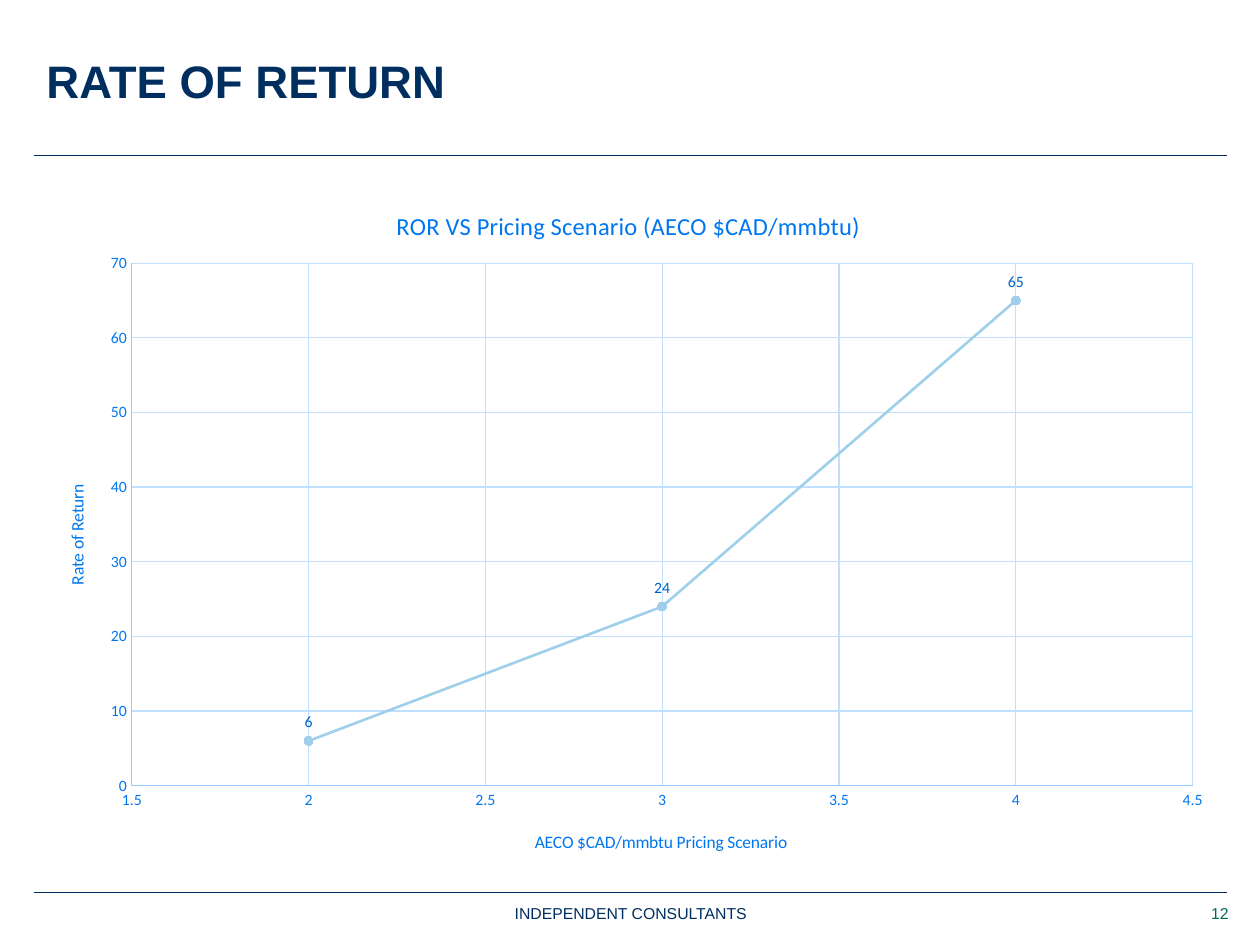
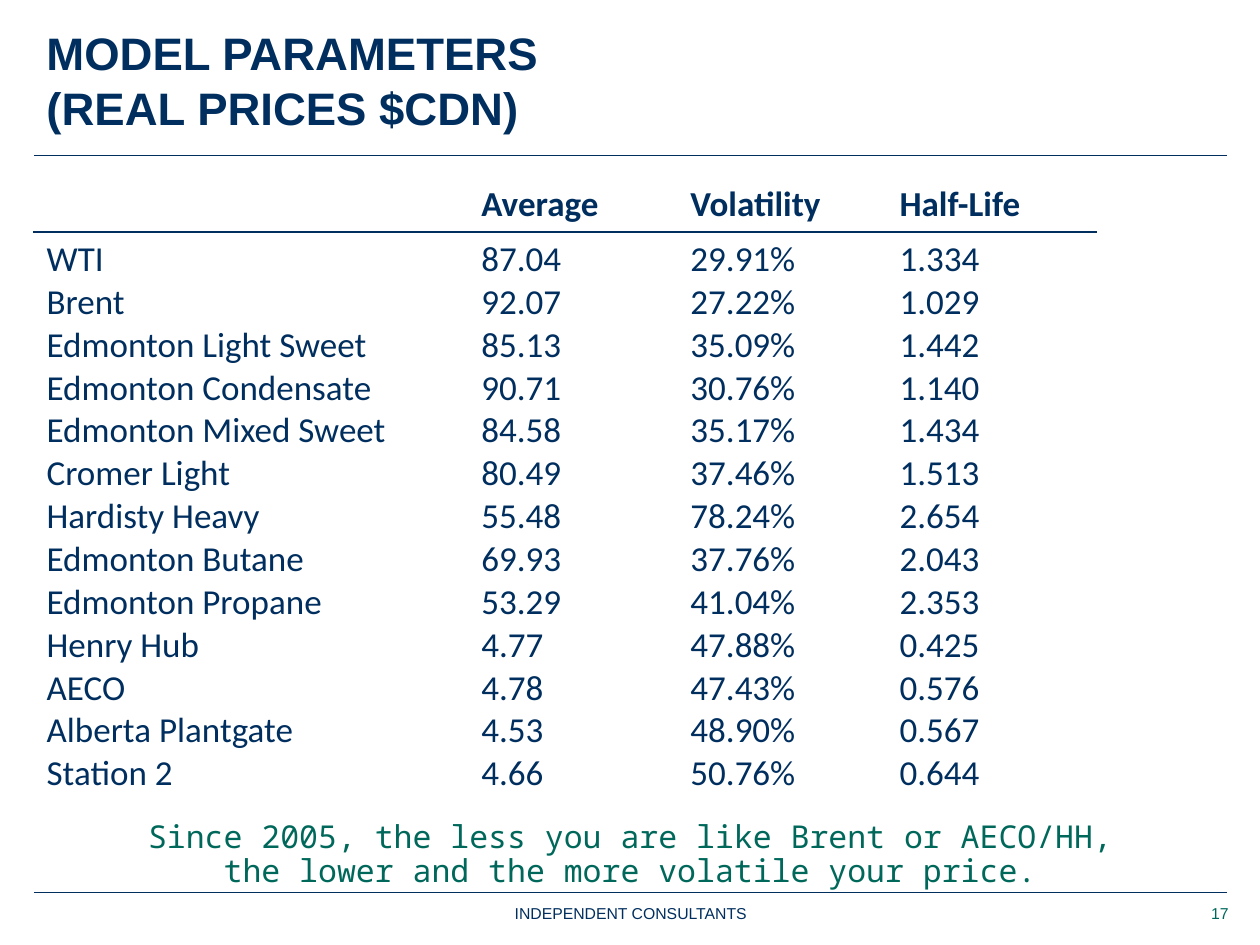
import pptx
import pptx.chart.data
import pptx.dml.color
import pptx.enum.chart
import pptx.enum.shapes
import pptx.enum.text
import pptx.oxml.ns
import pptx.util
from lxml import etree

COLORS = {
    "navy": "002F5F", "green": "00685B", "white": "FFFFFF", "axis_text": "0077F0",
    "axis_line": "97CBFF", "grid": "C1E0FF", "series": "A0CFEB", "label": "0062C7",
}
HEADING_FONT, BODY_FONT, NOTE_FONT = "Arial", "Calibri", "Noto Sans Mono"
COLUMNS, ROWS = 100, 75
LEFT, RIGHT = 2.7, 97.4
CONTENT_TOP = 14
FOOTER = "INDEPENDENT CONSULTANTS"

Pt = pptx.util.Pt
qn = pptx.oxml.ns.qn
ALIGN = pptx.enum.text.PP_ALIGN
ANCHOR = pptx.enum.text.MSO_ANCHOR


def rgb(name):
    return pptx.dml.color.RGBColor.from_string(COLORS[name])


def set_font(font, name, size, color, bold=False):
    font.name, font.size, font.bold = name, Pt(size), bold
    font.color.rgb = rgb(color)


def set_line(line, color, width):
    line.color.rgb = rgb(color)
    line.width = Pt(width)


def set_layout(parent, index, **shares):
    """Place a chart part by shares of the chart's size."""
    for automatic in parent.findall(qn("c:layout")):
        parent.remove(automatic)
    layout = etree.Element(qn("c:layout"))
    manual = etree.SubElement(layout, qn("c:manualLayout"))
    if "w" in shares:
        etree.SubElement(manual, qn("c:layoutTarget"), val="inner")
    for mode in ("xMode", "yMode"):
        etree.SubElement(manual, qn("c:" + mode), val="edge")
    for key, share in shares.items():
        etree.SubElement(manual, qn("c:" + key), val=str(share))
    parent.insert(index, layout)


def set_borders(cell, **sides):
    properties = cell._tc.get_or_add_tcPr()
    for index, side in enumerate("LRTB"):
        border = etree.Element(qn("a:ln" + side), w=str(Pt(1)))
        fill = etree.SubElement(border, qn("a:solidFill"))
        etree.SubElement(fill, qn("a:srgbClr"), val=COLORS[sides.get(side, "white")])
        properties.insert(index, border)


class Deck:
    def __init__(self):
        self.presentation = pptx.Presentation()
        self.presentation.slide_width = pptx.util.Inches(10)
        self.presentation.slide_height = pptx.util.Inches(7.5)
        self.slide = None

    def x(self, columns):
        return round(self.presentation.slide_width * columns / COLUMNS)

    def y(self, rows):
        return round(self.presentation.slide_height * rows / ROWS)

    def area(self, left, top, width, height):
        return self.x(left), self.y(top), self.x(width), self.y(height)

    def new_slide(self, title, number):
        """Start a slide with its title, rules and footer."""
        self.slide = self.presentation.slides.add_slide(self.presentation.slide_layouts[6])
        for row in (12.3, 70.8):
            self.rule(row)
        self.text((LEFT, 2, 73.5, 8.7), [title], HEADING_FONT, 26, "navy", bold=True)
        self.text((34.2, 71.4, 31.7, 2.1), [FOOTER], HEADING_FONT, 9, "navy", ALIGN.CENTER)
        self.text((71.7, 71.4, 25.8, 2.1), [number], HEADING_FONT, 9, "green",
                  ALIGN.RIGHT, insets=(0, 0))

    def rule(self, row):
        rule = self.slide.shapes.add_connector(
            pptx.enum.shapes.MSO_CONNECTOR.STRAIGHT,
            self.x(LEFT), self.y(row), self.x(RIGHT), self.y(row))
        set_line(rule.line, "navy", 0.5)
        etree.SubElement(rule._element.spPr, qn("a:effectLst"))

    def paragraphs(self, frame, texts, font, size, color, align=None, bold=False, spacing=None):
        for index, text in enumerate(texts):
            paragraph = frame.add_paragraph() if index else frame.paragraphs[0]
            paragraph.alignment, paragraph.line_spacing = align, spacing
            for number, line in enumerate(text.split("\n")):
                if number:
                    paragraph.add_line_break()
                run = paragraph.add_run()
                run.text = line
                set_font(run.font, font, size, color, bold)

    def text(self, area, texts, font, size, color, align=None, bold=False,
             anchor=ANCHOR.MIDDLE, insets=(0.1, 0.05), spacing=None):
        frame = self.slide.shapes.add_textbox(*self.area(*area)).text_frame
        frame.word_wrap = True
        frame.vertical_anchor = anchor
        frame.margin_left = frame.margin_right = pptx.util.Inches(insets[0])
        frame.margin_top = frame.margin_bottom = pptx.util.Inches(insets[1])
        self.paragraphs(frame, texts, font, size, color, align, bold, spacing)

    def table(self, area, widths, heights, rows):
        """Each cell holds a list of lines."""
        table = self.slide.shapes.add_table(len(rows), len(widths), *self.area(*area)).table
        table.first_row = table.horz_banding = False
        for column, width in zip(table.columns, widths):
            column.width = self.x(width)
        for index, (row, height) in enumerate(zip(table.rows, heights)):
            row.height = self.y(height)
            header = index == 0
            for cell, lines in zip(row.cells, rows[index]):
                cell.fill.solid()
                cell.fill.fore_color.rgb = rgb("white")
                set_borders(cell, **{"B" if header else "T": "navy"})
                self.paragraphs(cell.text_frame, lines, BODY_FONT, 20, "navy", bold=header)

    def chart_title(self, title, text, size, x, y):
        self.paragraphs(title.text_frame, [text], BODY_FONT, size, "axis_text")
        set_layout(title._element, 1, x=x, y=y)

    def axis(self, axis, low, high, step, text, x, y):
        axis.minimum_scale, axis.maximum_scale, axis.major_unit = low, high, step
        axis.major_tick_mark = axis.minor_tick_mark = pptx.enum.chart.XL_TICK_MARK.NONE
        axis.has_major_gridlines = True
        set_line(axis.major_gridlines.format.line, "grid", 0.75)
        set_line(axis.format.line, "axis_line", 0.75)
        set_font(axis.tick_labels.font, BODY_FONT, 9, "axis_text")
        self.chart_title(axis.axis_title, text, 10, x, y)

    def scatter(self, area, title, points):
        data = pptx.chart.data.XyChartData()
        returns = data.add_series("Series 1")
        for price, rate in points:
            returns.add_data_point(price, rate)
        chart = self.slide.shapes.add_chart(
            pptx.enum.chart.XL_CHART_TYPE.XY_SCATTER_LINES, *self.area(*area), data).chart
        set_font(chart.font, BODY_FONT, 10, "navy")
        chart.has_legend = False
        chart.has_title = True
        self.chart_title(chart.chart_title, title, 14, 0.3, 0.04)
        plot = chart.plots[0]
        plot.vary_by_categories = False
        set_layout(plot._element.getparent(), 0, x=0.082, y=0.124, w=0.889, h=0.746)

        # Line, markers and value labels
        series = plot.series[0]
        set_line(series.format.line, "series", 1.5)
        series.marker.style = pptx.enum.chart.XL_MARKER_STYLE.CIRCLE
        series.marker.size = 5
        series.marker.format.fill.solid()
        series.marker.format.fill.fore_color.rgb = rgb("series")
        set_line(series.marker.format.line, "series", 0.75)
        for index in range(len(points)):
            label = series.points[index].data_label
            set_font(label.font, BODY_FONT, 9, "label")
            label.position = pptx.enum.chart.XL_LABEL_POSITION.ABOVE
        return chart


def rate_of_return(deck):
    deck.new_slide("RATE OF RETURN", "12")
    chart = deck.scatter((LEFT, CONTENT_TOP, RIGHT - LEFT, 55.6),
                         "ROR VS Pricing Scenario (AECO $CAD/mmbtu)",
                         [(2, 6), (3, 24), (4, 65)])
    deck.axis(chart.category_axis, 1.5, 4.5, 0.5,
              "AECO $CAD/mmbtu Pricing Scenario", 0.417, 0.93)
    deck.axis(chart.value_axis, 0, 70, 10, "Rate of Return", 0.024, 0.435)
    rate_title = chart.value_axis.axis_title._element.find(".//" + qn("a:bodyPr"))
    rate_title.set("rot", "-5400000")
    rate_title.set("vert", "horz")


def model_parameters(deck):
    deck.new_slide("MODEL PARAMETERS\n(REAL PRICES $CDN)", "17")
    parameters = [
        ("WTI", "87.04", "29.91%", "1.334"),
        ("Brent", "92.07", "27.22%", "1.029"),
        ("Edmonton Light Sweet", "85.13", "35.09%", "1.442"),
        ("Edmonton Condensate", "90.71", "30.76%", "1.140"),
        ("Edmonton Mixed Sweet", "84.58", "35.17%", "1.434"),
        ("Cromer Light", "80.49", "37.46%", "1.513"),
        ("Hardisty Heavy", "55.48", "78.24%", "2.654"),
        ("Edmonton Butane", "69.93", "37.76%", "2.043"),
        ("Edmonton Propane", "53.29", "41.04%", "2.353"),
        ("Henry Hub", "4.77", "47.88%", "0.425"),
        ("AECO", "4.78", "47.43%", "0.576"),
        ("Alberta Plantgate", "4.53", "48.90%", "0.567"),
        ("Station 2", "4.66", "50.76%", "0.644"),
    ]
    header = [[], ["Average"], ["Volatility"], ["Half-Life"]]
    deck.table((LEFT, CONTENT_TOP, 84.4, 48.7), [34.5] + [16.6] * 3, [4.4, 44.3],
               [header, list(zip(*parameters))])
    deck.text((5, 63.1, 90, 7.5),
              ["Since 2005, the less you are like Brent or AECO/HH,",
               "the lower and the more volatile your price."],
              NOTE_FONT, 18, "green", ALIGN.CENTER, anchor=ANCHOR.BOTTOM,
              insets=(0.1, 0), spacing=0.9)


def main():
    deck = Deck()
    rate_of_return(deck)
    model_parameters(deck)
    deck.presentation.save("out.pptx")


if __name__ == "__main__":
    main()
